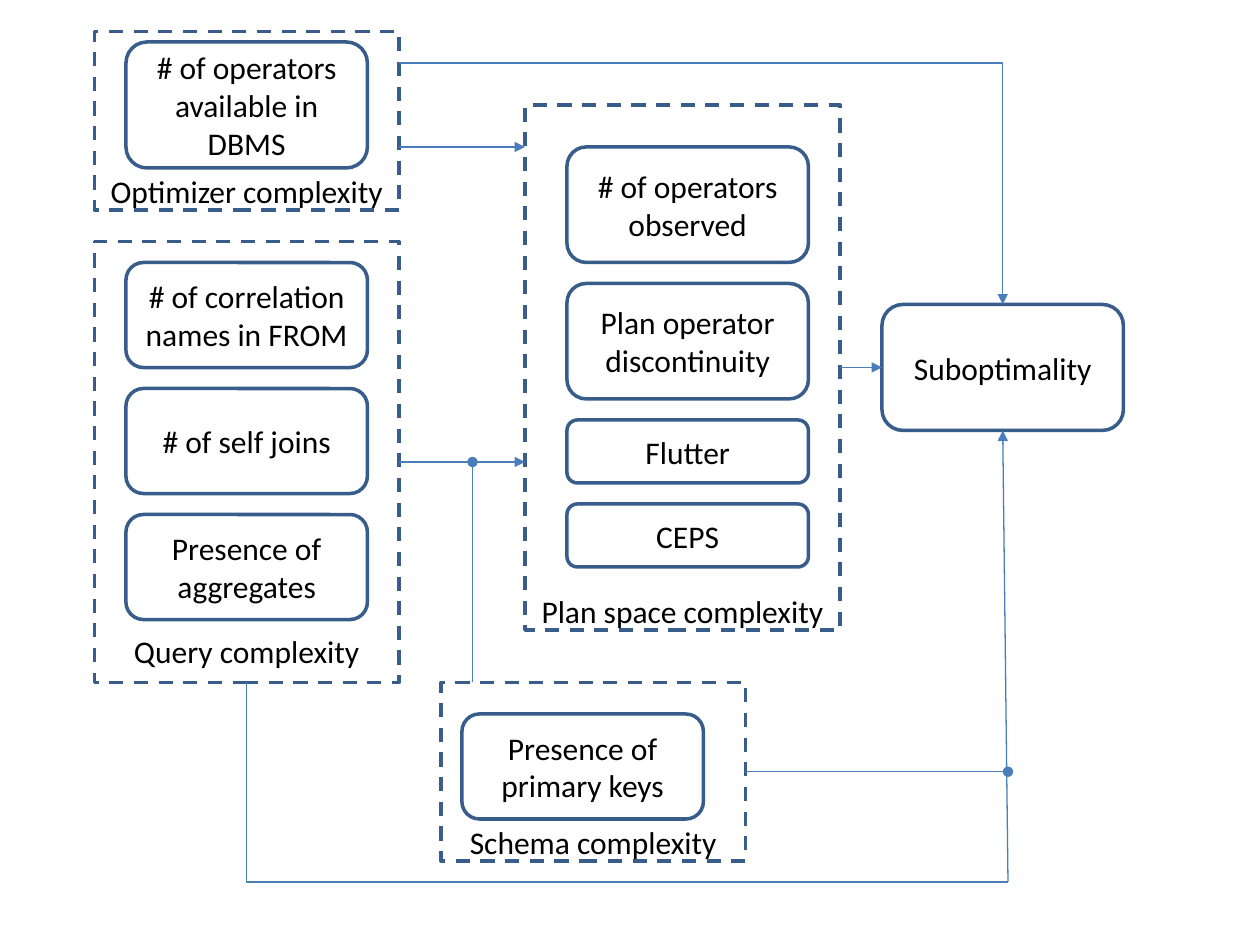
from lxml.etree import SubElement
from pptx import Presentation
from pptx.dml.color import RGBColor
from pptx.enum.dml import MSO_LINE
from pptx.enum.shapes import MSO_CONNECTOR, MSO_SHAPE
from pptx.enum.text import MSO_ANCHOR, PP_ALIGN
from pptx.oxml.ns import qn
from pptx.util import Pt

COLORS = {"outline": "385D8A", "connector": "4A7EBB", "text": "000000"}
FONT_NAME = "Calibri"
FONT_SIZE = 18
FACTOR_WIDTH = 138
TOP, LEFT, BOTTOM, RIGHT = range(4)


def add_outline(slide, kind, box, text, anchor, dashed=False):
    """Unfilled outlined shape with centred text; box is left, top, width, height."""
    shape = slide.shapes.add_shape(kind, *(Pt(length) for length in box))
    shape.shadow.inherit = False
    shape.fill.background()
    shape.line.color.rgb = RGBColor.from_string(COLORS["outline"])
    shape.line.width = Pt(2)
    if dashed:
        shape.line.dash_style = MSO_LINE.DASH
    text_frame = shape.text_frame
    text_frame.word_wrap = True
    text_frame.vertical_anchor = anchor
    text_frame.text = text
    for paragraph in text_frame.paragraphs:
        paragraph.alignment = PP_ALIGN.CENTER
        for run in paragraph.runs:
            run.font.name = FONT_NAME
            run.font.size = Pt(FONT_SIZE)
            run.font.color.rgb = RGBColor.from_string(COLORS["text"])
    return shape


def add_factor(slide, left, top, height, text):
    box = (left, top, FACTOR_WIDTH, height)
    return add_outline(slide, MSO_SHAPE.ROUNDED_RECTANGLE, box, text, MSO_ANCHOR.MIDDLE)


def add_group(slide, box, label, factors, inset, gap=12, label_inset=0):
    """Dashed group with its label at the bottom and a stack of (text, height) factors."""
    group = add_outline(slide, MSO_SHAPE.RECTANGLE, box, label, MSO_ANCHOR.BOTTOM, dashed=True)
    group.text_frame.margin_bottom = Pt(label_inset)
    left, top = box[0] + inset[0], box[1] + inset[1]
    for text, height in factors:
        add_factor(slide, left, top, height, text)
        top += height + gap
    return group


def add_link(slide, start, end, tail=None, bent=False, source=None, target=None):
    """Line between two points; source and target are (shape, side) pairs to join."""
    kind = MSO_CONNECTOR.ELBOW if bent else MSO_CONNECTOR.STRAIGHT
    connector = slide.shapes.add_connector(kind, *(Pt(length) for length in start + end))
    if source:
        connector.begin_connect(*source)
    if target:
        connector.end_connect(*target)
    connector.line.color.rgb = RGBColor.from_string(COLORS["connector"])
    connector.line.width = Pt(0.75)
    properties = connector._element.spPr
    if bent:
        # A single corner: across first, then up or down
        properties.find(qn("a:prstGeom")).set("prst", "bentConnector2")
    if tail:
        SubElement(properties.find(qn("a:ln")), qn("a:tailEnd"), type=tail)
    SubElement(properties, qn("a:effectLst"))


def build_diagram(slide):
    # Groups of factors
    add_group(slide, (54, 18, 174, 102), "Optimizer complexity",
              [("# of operators available in DBMS", 72)], inset=(18, 6))
    query = add_group(slide, (54, 138, 174, 252), "Query complexity",
                      [("# of correlation names in FROM", 60),
                       ("# of self joins", 60),
                       ("Presence of aggregates", 60)],
                      inset=(18, 12), label_inset=7)
    schema = add_group(slide, (252, 390, 174, 102), "Schema complexity",
                       [("Presence of primary keys", 60)], inset=(12, 18))
    plan = add_group(slide, (300, 60, 180, 300), "Plan space complexity",
                     [("# of operators observed", 66),
                      ("Plan operator\ndiscontinuity", 66),
                      ("Flutter", 36),
                      ("CEPS", 36)], inset=(24, 24))

    # Outcome
    outcome = add_factor(slide, 504, 174, 72, "Suboptimality")

    # Links into the plan space
    add_link(slide, (228, 264), (300, 264), "triangle", source=(query, RIGHT))
    add_link(slide, (228, 84), (300, 84), "triangle")
    add_link(slide, (270, 390), (270, 264), "oval")

    # Links into the outcome
    add_link(slide, (228, 36), (573, 174), "triangle", bent=True, target=(outcome, TOP))
    add_link(slide, (480, 210), (504, 210), "triangle",
             source=(plan, RIGHT), target=(outcome, LEFT))
    add_link(slide, (576, 504), (141, 390), bent=True, target=(query, BOTTOM))
    add_link(slide, (576, 504), (573, 246), "triangle", target=(outcome, BOTTOM))
    add_link(slide, (426, 441), (576, 441), "oval", source=(schema, RIGHT))


def main():
    presentation = Presentation()
    presentation.slide_width = Pt(720)
    presentation.slide_height = Pt(540)
    slide = presentation.slides.add_slide(presentation.slide_layouts[6])
    build_diagram(slide)
    presentation.save("out.pptx")


if __name__ == "__main__":
    main()
